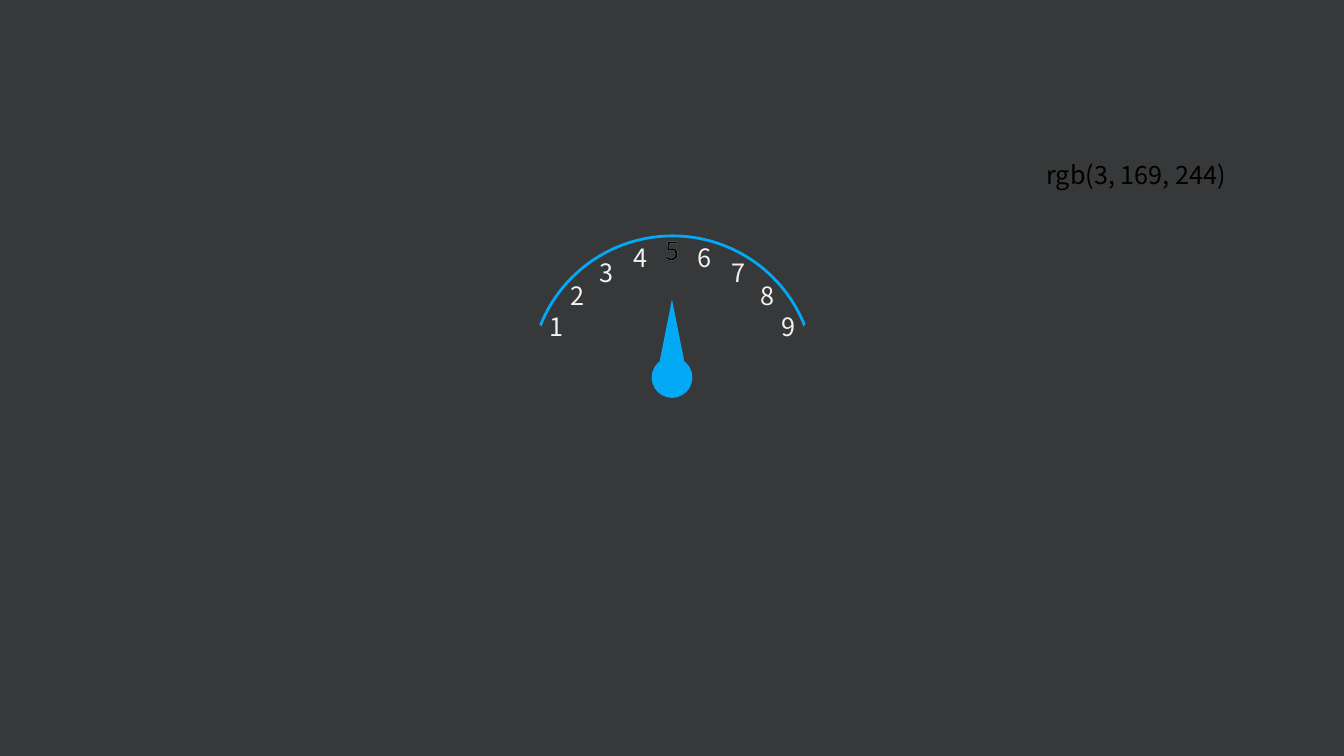
import pptx
import pptx.util
import pptx.dml.color
import pptx.enum.shapes
import pptx.enum.text
from pptx.oxml import parse_xml
from pptx.oxml.ns import nsdecls

Inches = pptx.util.Inches
Pt = pptx.util.Pt
SHAPE = pptx.enum.shapes.MSO_SHAPE

FONT = "Noto Sans CJK KR"
COLORS = {
    "background": "373839",
    "accent": "03A9F4",
    "digit": "F2F2F2",
    "dark": "000000",
}
CENTER_X = 6.67
DIAL_TOP = 2.34
DIAL_SIZE = 2.82
MASK_SIZE = 2.2
DIGIT_WIDTH = 0.49
MIDDLE_DIGIT = 5
# Distance from the centre line and top, by steps away from the middle digit
DIGIT_PLACES = [(0, 2.29), (0.32, 2.35), (0.65, 2.5), (0.94, 2.73), (1.15, 3.04)]


def rgb(name):
    return pptx.dml.color.RGBColor.from_string(COLORS[name])


def add_figure(slide, kind, left, top, width, height, fill=None, line=None, line_width=1):
    figure = slide.shapes.add_shape(
        kind, Inches(left), Inches(top), Inches(width), Inches(height))
    figure.shadow.inherit = False
    if fill:
        figure.fill.solid()
        figure.fill.fore_color.rgb = rgb(fill)
    else:
        figure.fill.background()
    if line:
        figure.line.color.rgb = rgb(line)
        figure.line.width = Pt(line_width)
    else:
        figure.line.fill.background()
    return figure


def add_label(slide, text, left, top, width, color, centered=True):
    """Add one line of text and return its run."""
    label = slide.shapes.add_textbox(Inches(left), Inches(top), Inches(width), Inches(0.4))
    frame = label.text_frame
    frame.word_wrap = centered
    frame.auto_size = pptx.enum.text.MSO_AUTO_SIZE.SHAPE_TO_FIT_TEXT
    paragraph = frame.paragraphs[0]
    if centered:
        paragraph.alignment = pptx.enum.text.PP_ALIGN.CENTER
    run = paragraph.add_run()
    run.text = text
    run.font.size = Pt(18)
    run.font.name = FONT
    run.font.color.rgb = rgb(color)
    properties = run.font._element
    for tag in ("ea", "cs"):
        properties.append(parse_xml(f'<a:{tag} {nsdecls("a")} typeface="{FONT}"/>'))
    return run


def add_digit(slide, digit, color):
    step = digit - MIDDLE_DIGIT
    distance, top = DIGIT_PLACES[abs(step)]
    center = CENTER_X + (distance if step > 0 else -distance)
    return add_label(slide, str(digit), center - DIGIT_WIDTH / 2, top, DIGIT_WIDTH, color)


def outline_text(run, color, width):
    run.font._element.insert(0, parse_xml(
        f'<a:ln {nsdecls("a")} w="{Pt(width)}"><a:solidFill>'
        f'<a:srgbClr val="{COLORS[color]}"/></a:solidFill></a:ln>'))


def add_masks(slide):
    """Cover the dial so that only its upper arc remains."""
    left = CENTER_X - MASK_SIZE
    for mask_left, rotation in ((left, 0), (CENTER_X, 270)):
        corner = add_figure(slide, SHAPE.RIGHT_TRIANGLE, mask_left, DIAL_TOP,
                            MASK_SIZE, MASK_SIZE, fill="background")
        corner.rotation = rotation
    add_figure(slide, SHAPE.RECTANGLE, left, 4.4, 2 * MASK_SIZE, 2.12, fill="background")


def main():
    deck = pptx.Presentation()
    deck.slide_width = Inches(13.33)
    deck.slide_height = Inches(7.5)
    slide = deck.slides.add_slide(deck.slide_layouts[6])
    slide.background.fill.solid()
    slide.background.fill.fore_color.rgb = rgb("background")

    add_figure(slide, SHAPE.OVAL, CENTER_X - DIAL_SIZE / 2, DIAL_TOP, DIAL_SIZE, DIAL_SIZE,
               line="accent", line_width=2)
    add_label(slide, "rgb(3, 169, 244)", 10.28, 1.53, 2.01, "dark", centered=False)
    add_figure(slide, SHAPE.OVAL, 6.47, 3.55, 0.39, 0.39, fill="accent", line="accent")
    add_masks(slide)
    add_figure(slide, SHAPE.ISOSCELES_TRIANGLE, 6.51, 2.97, 0.31, 0.78, fill="accent")

    for digit in range(1, 10):
        add_digit(slide, digit, "digit")
    selected = add_digit(slide, MIDDLE_DIGIT, "dark")
    outline_text(selected, "accent", 0.75)

    deck.save("out.pptx")


if __name__ == "__main__":
    main()
